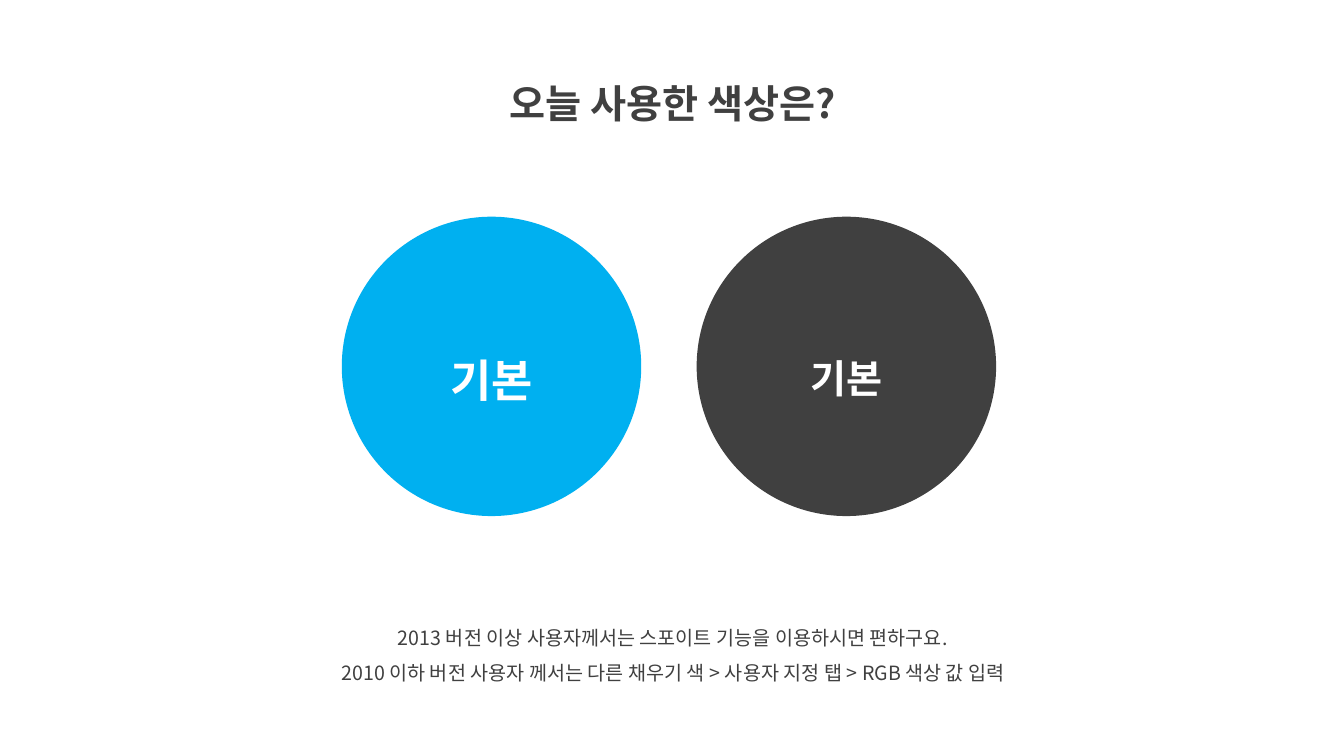
from lxml import etree
from pptx import Presentation
from pptx import util as u
from pptx.dml.color import RGBColor
from pptx.enum import shapes, text
from pptx.oxml.ns import qn

FONT = "Noto Sans CJK KR"
GREY, BLUE, WHITE = "404040", "00B0F0", "FFFFFF"
WIDE, HIGH = 13.33, 7.5


def tint(hue):
    return RGBColor.from_string(hue)


def write(frame, lines, size, hue, bold=False):
    """Fill a frame with centred lines at one and a half spacing."""
    frame.word_wrap = True
    for i, line in enumerate(lines):
        para = frame.paragraphs[0] if i == 0 else frame.add_paragraph()
        para.alignment = text.PP_ALIGN.CENTER
        para.line_spacing = 1.5
        run = para.add_run()
        run.text = line
        font = run.font
        font.size, font.bold, font.name = u.Pt(size), bold, FONT
        font.color.rgb = tint(hue)
        # Hangul takes its typeface from the East Asian slot
        etree.SubElement(font._element, qn("a:ea"), typeface=FONT)


deck = Presentation()
deck.slide_width, deck.slide_height = u.Inches(WIDE), u.Inches(HIGH)
slide = deck.slides.add_slide(deck.slide_layouts[6])

# Title and footnote, both centred on the same axis
axis = WIDE / 2 + 0.01
title = ["오늘 사용한 색상은?"]
notes = [
    "2013 버전 이상 사용자께서는 스포이트 기능을 이용하시면 편하구요.",
    "2010 이하 버전 사용자 께서는 다른 채우기 색 > 사용자 지정 탭 > RGB 색상 값 입력",
]
for lines, top, wide, high, size, bold in [
    (title, 0.5, 4.63, 0.72, 28, True),
    (notes, 6.04, 7.99, 0.81, 14, False),
]:
    box = slide.shapes.add_textbox(
        u.Inches(axis - wide / 2), u.Inches(top), u.Inches(wide), u.Inches(high))
    write(box.text_frame, lines, size, GREY, bold)

# Colour discs in a row
disc, gap, left, top = 2.97, 0.55, 3.39, 2.15
for col, (fill, size) in enumerate([(BLUE, 32), (GREY, 28)]):
    dot = slide.shapes.add_shape(
        shapes.MSO_SHAPE.OVAL, u.Inches(left + col * (disc + gap)),
        u.Inches(top), u.Inches(disc), u.Inches(disc))
    dot.shadow.inherit = False
    dot.fill.solid()
    dot.fill.fore_color.rgb = tint(fill)
    dot.line.fill.background()
    dot.text_frame.vertical_anchor = text.MSO_ANCHOR.MIDDLE
    write(dot.text_frame, ["기본"], size, WHITE, True)

deck.save("out.pptx")
